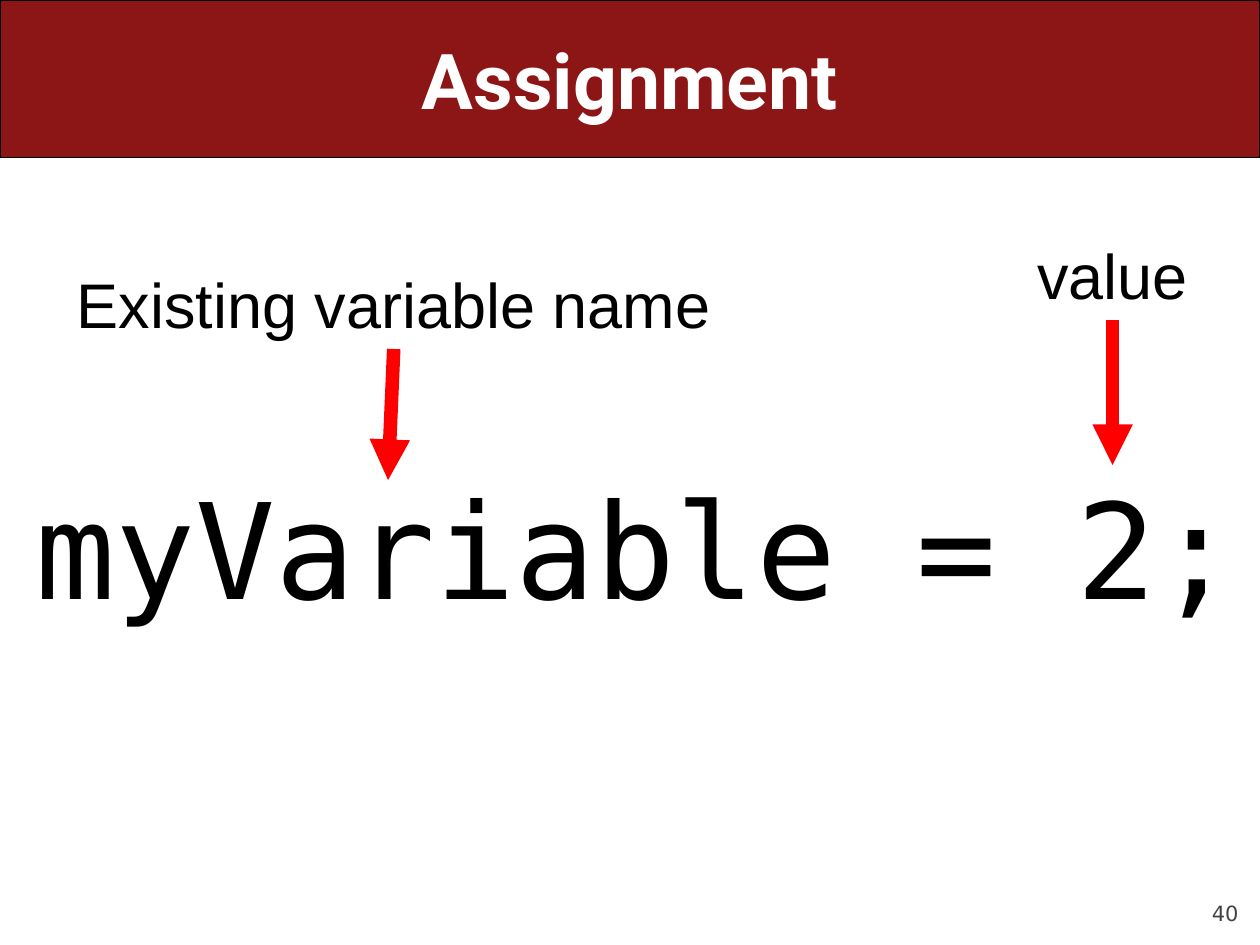
from lxml import etree
from pptx import Presentation
from pptx.dml.color import RGBColor
from pptx.enum.shapes import MSO_CONNECTOR, MSO_SHAPE
from pptx.enum.text import MSO_ANCHOR, MSO_AUTO_SIZE, PP_ALIGN
from pptx.oxml.ns import qn
from pptx.util import Inches, Pt

ROUNDED, STRAIGHT = MSO_SHAPE.ROUNDED_RECTANGLE, MSO_CONNECTOR.STRAIGHT
TOP, MIDDLE, BOTTOM = MSO_ANCHOR.TOP, MSO_ANCHOR.MIDDLE, MSO_ANCHOR.BOTTOM
CENTER, RIGHT = PP_ALIGN.CENTER, PP_ALIGN.RIGHT
NO_FIT = MSO_AUTO_SIZE.NONE
TITLE_ONLY = 5

BANNER = (0, 0, 10, 1.25)
TITLE = ("Assignment", (0.5, 0, 9, 1.25), "Roboto", 44, "FFFFFF")
STATEMENT = ("myVariable = 2;", (0.17, 3.65, 9.75, 1.75), "DejaVu Sans Mono", 76, "000000")
PAGE_NUMBER = ("40", (9, 6.95, 0.83, 0.4), "DejaVu Sans", 12, "424242")
LABELS = [
    ("Existing variable name", (0.5, 2.06, 5.25, 0.71), (3.08, 3.81)),
    ("value", (8.08, 1.83, 1.5, 0.71), (8.83, 3.69)),
]


def color(value):
    return RGBColor.from_string(value)


def write(box, text, font, size, ink, align=CENTER, anchor=TOP, bold=False):
    frame = box.text_frame
    frame.word_wrap = True
    frame.auto_size = NO_FIT
    frame.vertical_anchor = anchor
    para = frame.paragraphs[0]
    para.alignment = align
    para.space_before = Pt(0)
    span = para.add_run()
    span.text = text
    span.font.name = font
    span.font.size = Pt(size)
    span.font.bold = bold
    span.font.color.rgb = color(ink)


def add_text(page, content, **style):
    text, place, font, size, ink = content
    box = page.shapes.add_textbox(*map(Inches, place))
    write(box, text, font, size, ink, **style)
    return box


def add_banner(page):
    banner = page.shapes.add_shape(ROUNDED, *map(Inches, BANNER))
    banner.adjustments[0] = 0
    banner.shadow.inherit = False
    banner.fill.solid()
    banner.fill.fore_color.rgb = color("8C1515")
    banner.line.color.rgb = color("000000")
    banner.line.width = Pt(0.75)
    return banner


def add_title(page, banner):
    text, place, font, size, ink = TITLE
    title = page.shapes.title
    title.left, title.top, title.width, title.height = map(Inches, place)
    write(title, text, font, size, ink, anchor=MIDDLE, bold=True)
    banner.element.addnext(title.element)


def add_arrow(page, start, end):
    arrow = page.shapes.add_connector(STRAIGHT, *map(Inches, start + end))
    arrow.line.color.rgb = color("FF0000")
    arrow.line.width = Pt(7.75)
    properties = arrow.element.spPr
    etree.SubElement(properties.find(qn("a:ln")), qn("a:tailEnd"), type="triangle")
    etree.SubElement(properties, qn("a:effectLst"))


def main():
    """Build the slide on assigning a value to a variable."""
    deck = Presentation()
    deck.slide_width, deck.slide_height = Inches(10), Inches(7.5)
    page = deck.slides.add_slide(deck.slide_layouts[TITLE_ONLY])
    add_title(page, add_banner(page))
    number = add_text(page, PAGE_NUMBER, align=RIGHT, anchor=BOTTOM).text_frame
    number.margin_left = number.margin_right = number.margin_top = number.margin_bottom = 0
    add_text(page, STATEMENT)
    for text, place, tip in LABELS:
        left, top, width, height = place
        add_text(page, (text, place, "Arial", 36, "000000"))
        add_arrow(page, (left + width / 2, top + height), tip)
    deck.save("out.pptx")


if __name__ == "__main__":
    main()
